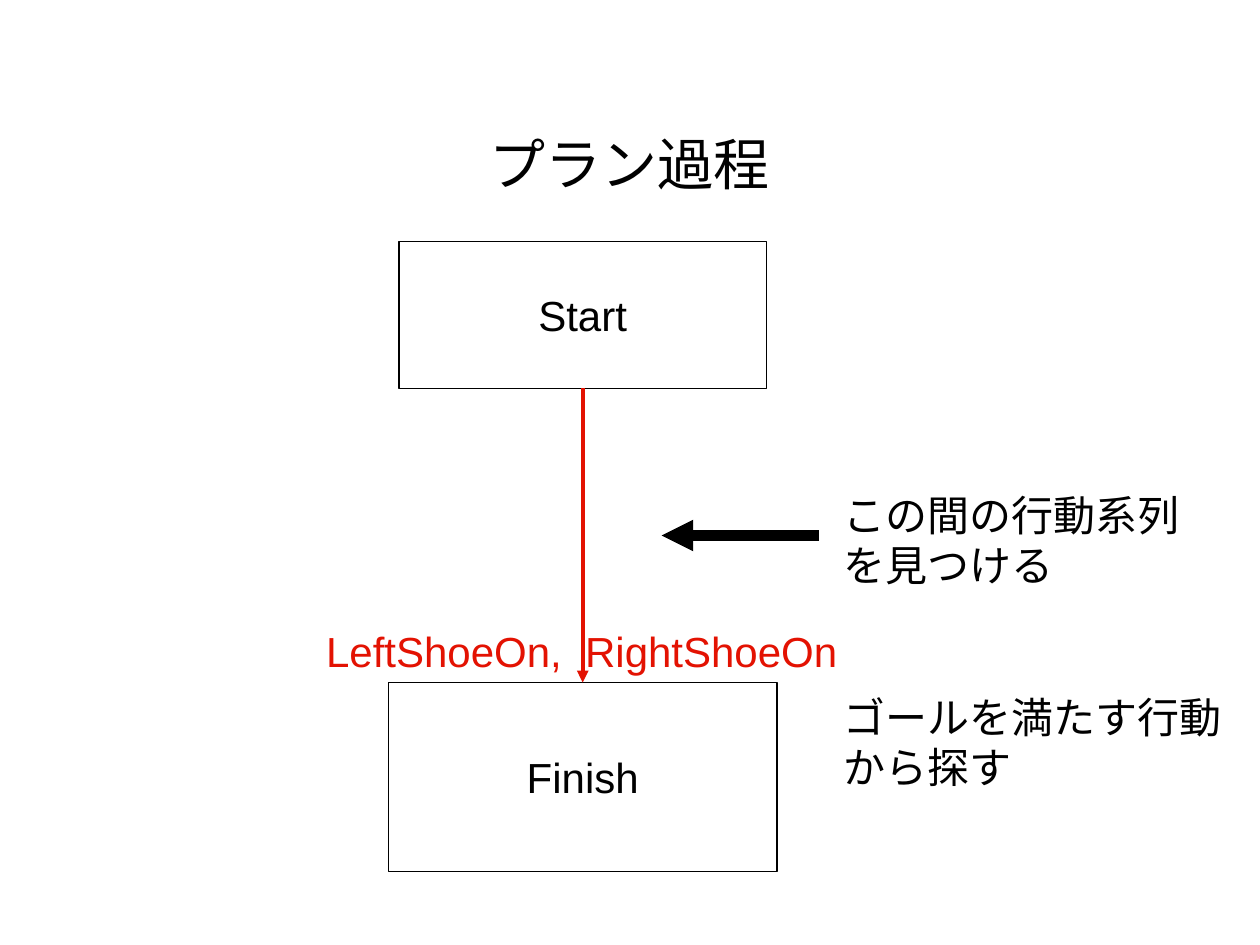
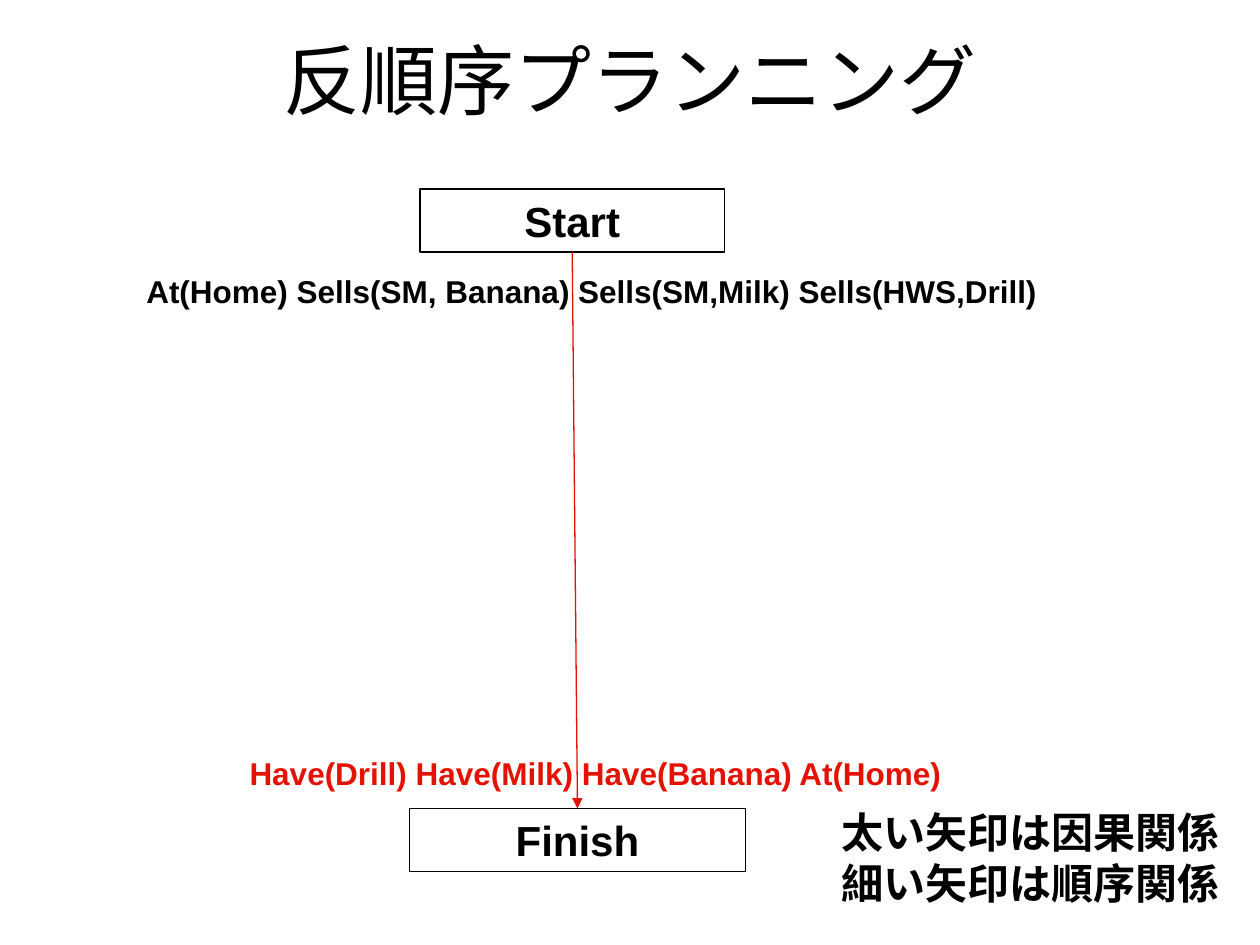
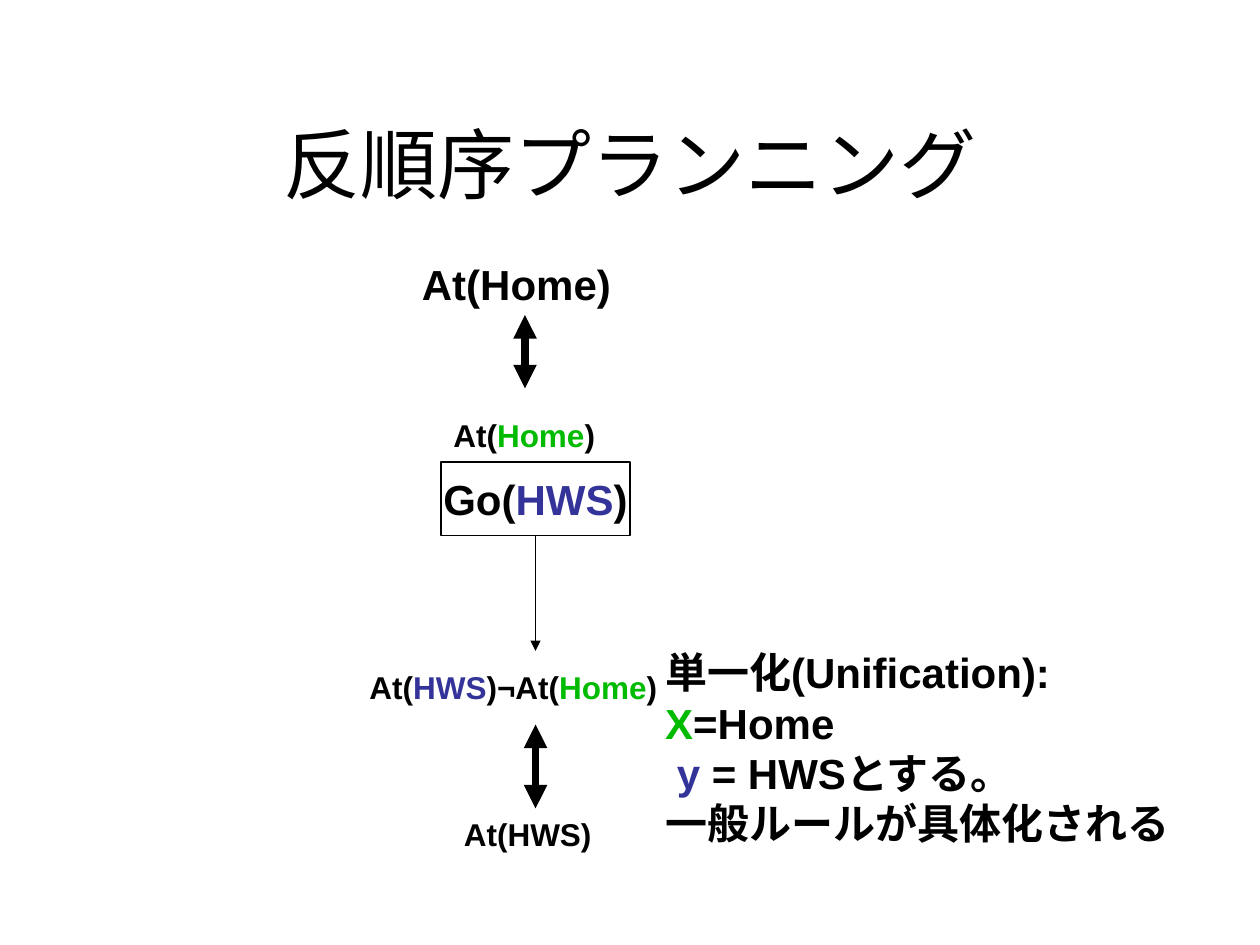
from lxml import etree
from pptx import Presentation
from pptx.dml.color import RGBColor
from pptx.enum import shapes, text
from pptx.oxml import ns
from pptx.util import Pt

FONT = "Arial"
BLACK = RGBColor(0x00, 0x00, 0x00)
WHITE = RGBColor(0xFF, 0xFF, 0xFF)
RED = RGBColor(0xE3, 0x12, 0x02)
BLUE = RGBColor(0x33, 0x33, 0x99)
GREEN = RGBColor(0x00, 0xBB, 0x00)

BODY, SMALL = 24, 18
BOTTOM, TOP = 2, 0


def write(frame, lines, size, color=BLACK, bold=False, align=text.PP_ALIGN.LEFT):
    """Fill a frame; each line is a string or a list of (words, colour) runs."""
    for number, line in enumerate(lines):
        paragraph = frame.add_paragraph() if number else frame.paragraphs[0]
        paragraph.alignment = align
        runs = [(line, color)] if isinstance(line, str) else line
        for words, run_color in runs:
            run = paragraph.add_run()
            run.text = words
            run.font.name = FONT
            run.font.size = Pt(size)
            run.font.bold = bold
            run.font.color.rgb = run_color


def add_label(slide, box, lines, size=BODY, color=BLACK, bold=False):
    label = slide.shapes.add_textbox(*map(Pt, box))
    frame = label.text_frame
    frame.word_wrap = False
    frame.auto_size = text.MSO_AUTO_SIZE.SHAPE_TO_FIT_TEXT
    write(frame, lines, size, color, bold)
    return frame.paragraphs


def add_title(slide, words, top, size):
    title = slide.shapes.add_textbox(Pt(54), Pt(top), Pt(612), Pt(90))
    frame = title.text_frame
    frame.word_wrap = True
    frame.vertical_anchor = text.MSO_ANCHOR.MIDDLE
    write(frame, [words], size, align=text.PP_ALIGN.CENTER)


def add_action(slide, box, line, bold):
    action = slide.shapes.add_shape(shapes.MSO_SHAPE.RECTANGLE, *map(Pt, box))
    action.shadow.inherit = False
    action.fill.solid()
    action.fill.fore_color.rgb = WHITE
    action.line.color.rgb = BLACK
    action.line.width = Pt(0.75)
    frame = action.text_frame
    frame.word_wrap = False
    frame.vertical_anchor = text.MSO_ANCHOR.MIDDLE
    write(frame, [line], BODY, bold=bold, align=text.PP_ALIGN.CENTER)
    return action


def add_arrow(slide, start, end, width, color=BLACK, both_ends=False):
    arrow = slide.shapes.add_connector(
        shapes.MSO_CONNECTOR.STRAIGHT, *map(Pt, (*start, *end)))
    arrow.line.color.rgb = color
    arrow.line.width = Pt(width)
    line = arrow.line._get_or_add_ln()
    for end_tag in ("a:headEnd", "a:tailEnd") if both_ends else ("a:tailEnd",):
        etree.SubElement(line, ns.qn(end_tag), type="triangle")
    etree.SubElement(arrow._element.spPr, ns.qn("a:effectLst"))
    return arrow


def add_plan(slide, start_box, finish_box, link_width, bold):
    """Start and Finish, joined by a red arrow."""
    start = add_action(slide, start_box, "Start", bold)
    finish = add_action(slide, finish_box, "Finish", bold)
    link = add_arrow(slide, start_box[:2], finish_box[:2], link_width, RED)
    link.begin_connect(start, BOTTOM)
    link.end_connect(finish, TOP)


def add_search_note(slide, box):
    left, top = box[:2]
    paragraphs = add_label(slide, box, [
        "この間の行動系列", "を見つける", "ゴールを満たす行動", "から探す"])
    paragraphs[2].space_before = Pt(58)
    add_arrow(slide, (left - 7, top + 30), (left - 97, top + 30), 6)


def add_goal_conditions(slide, box):
    goals = add_label(slide, box, ["LeftShoeOn,\tRightShoeOn"], color=RED)[0]
    tabs = etree.SubElement(goals._p.get_or_add_pPr(), ns.qn("a:tabLst"))
    etree.SubElement(tabs, ns.qn("a:tab"), pos=str(Pt(148)), algn="l")


def add_go_step(slide, box):
    """The Go action with its conditions above and its effects below."""
    left, top, width, height = box
    middle, bottom = left + width / 2, top + height
    add_label(slide, (left - 18, top - 120, 126, 36), ["At(Home)"], bold=True)
    add_arrow(slide, (middle - 6, top - 84), (middle - 6, top - 42), 4.5, both_ends=True)
    add_label(slide, (left, top - 30, 100, 28.8),
              [[("At(", BLACK), ("Home", GREEN), (")", BLACK)]], SMALL, bold=True)

    go = add_action(slide, box, [("Go(", BLACK), ("HWS", BLUE), (")", BLACK)], True)
    order = add_arrow(slide, (middle, bottom), (middle, bottom + 66), 0.75)
    order.begin_connect(go, BOTTOM)

    effects = [("At(", BLACK), ("HWS", BLUE), (")¬At(", BLACK),
               ("Home", GREEN), (")", BLACK)]
    add_label(slide, (left - 48, bottom + 72, 184, 28.8), [effects], SMALL, bold=True)
    add_arrow(slide, (middle, bottom + 108), (middle, bottom + 156), 4.5, both_ends=True)
    add_label(slide, (left + 6, bottom + 156, 92, 28.8), ["At(HWS)"], SMALL, bold=True)


def add_unification_note(slide, box):
    paragraphs = add_label(slide, box, [
        "単一化(Unification):",
        [("X", GREEN), ("=Home", BLACK)],
        [("y ", BLUE), ("= HWSとする。", BLACK)],
        "一般ルールが具体化される",
    ], bold=True)
    paragraphs[2]._p.get_or_add_pPr().set("marL", str(Pt(6.67)))


def build_plan_process(slide):
    add_title(slide, "プラン過程", 48, 32)
    add_plan(slide, (228, 138, 210, 84), (222, 390, 222, 108), 2.25, False)
    add_goal_conditions(slide, (179.3, 354, 310, 36))
    add_search_note(slide, (475, 276, 232, 180))


def build_partial_order(slide):
    add_title(slide, "反順序プランニング", 0, 44)
    add_plan(slide, (240, 108, 174, 36), (234, 462, 192, 36), 0.75, True)
    add_label(slide, (76.5, 152, 528, 28.8),
              ["At(Home) Sells(SM, Banana) Sells(SM,Milk) Sells(HWS,Drill)"],
              SMALL, bold=True)
    add_label(slide, (135.5, 427.3, 414, 28.8),
              ["Have(Drill) Have(Milk) Have(Banana) At(Home)"], SMALL, RED, True)
    add_label(slide, (474, 457.5, 232, 64.8),
              ["太い矢印は因果関係", "細い矢印は順序関係"], bold=True)


def build_unification(slide):
    add_title(slide, "反順序プランニング", 48, 44)
    add_go_step(slide, (252, 264, 108, 42))
    add_unification_note(slide, (373, 366, 306, 122.4))


def main():
    deck = Presentation()
    deck.slide_width, deck.slide_height = Pt(720), Pt(540)
    blank = deck.slide_layouts[6]
    for build in (build_plan_process, build_partial_order, build_unification):
        build(deck.slides.add_slide(blank))
    deck.save("out.pptx")


if __name__ == "__main__":
    main()
